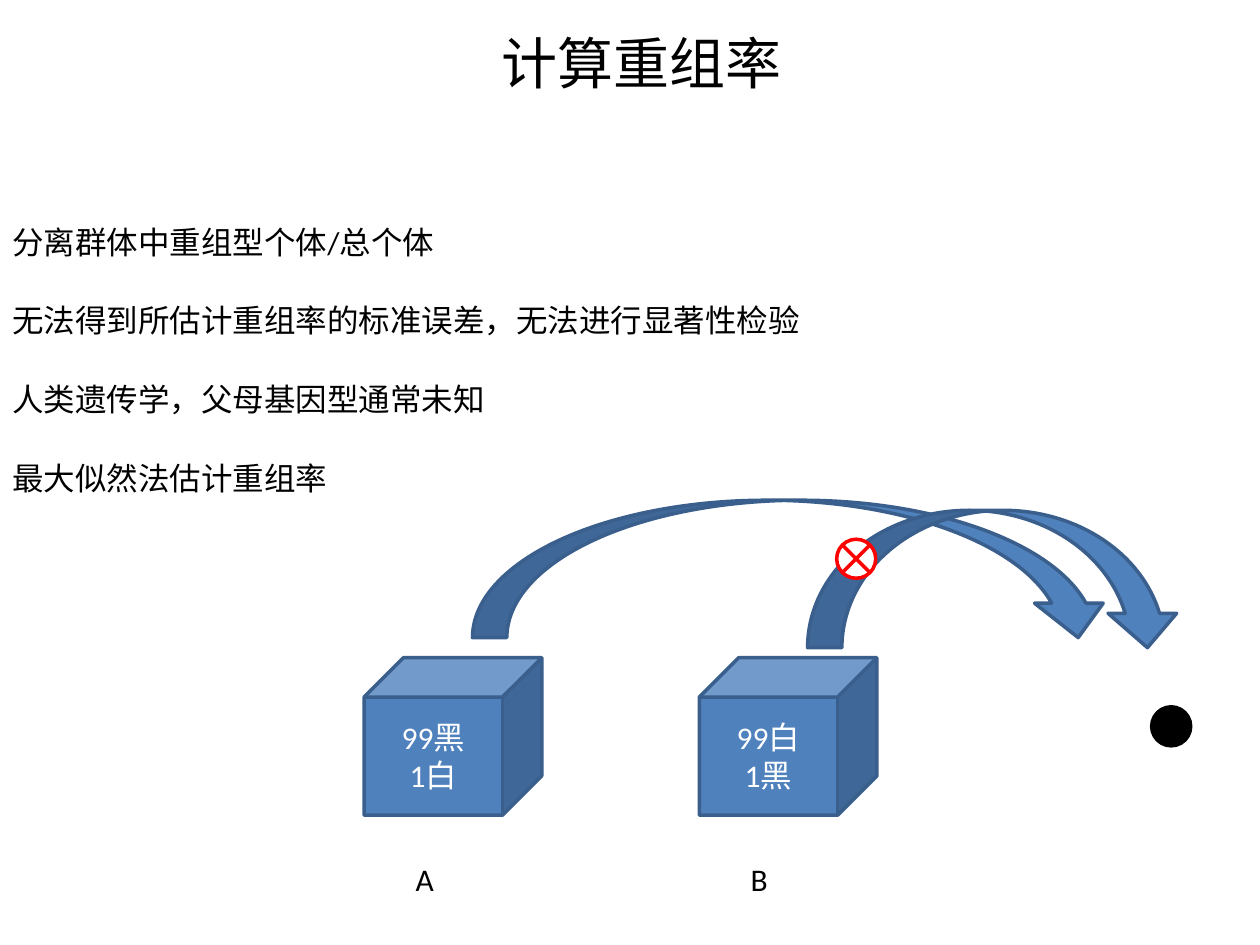
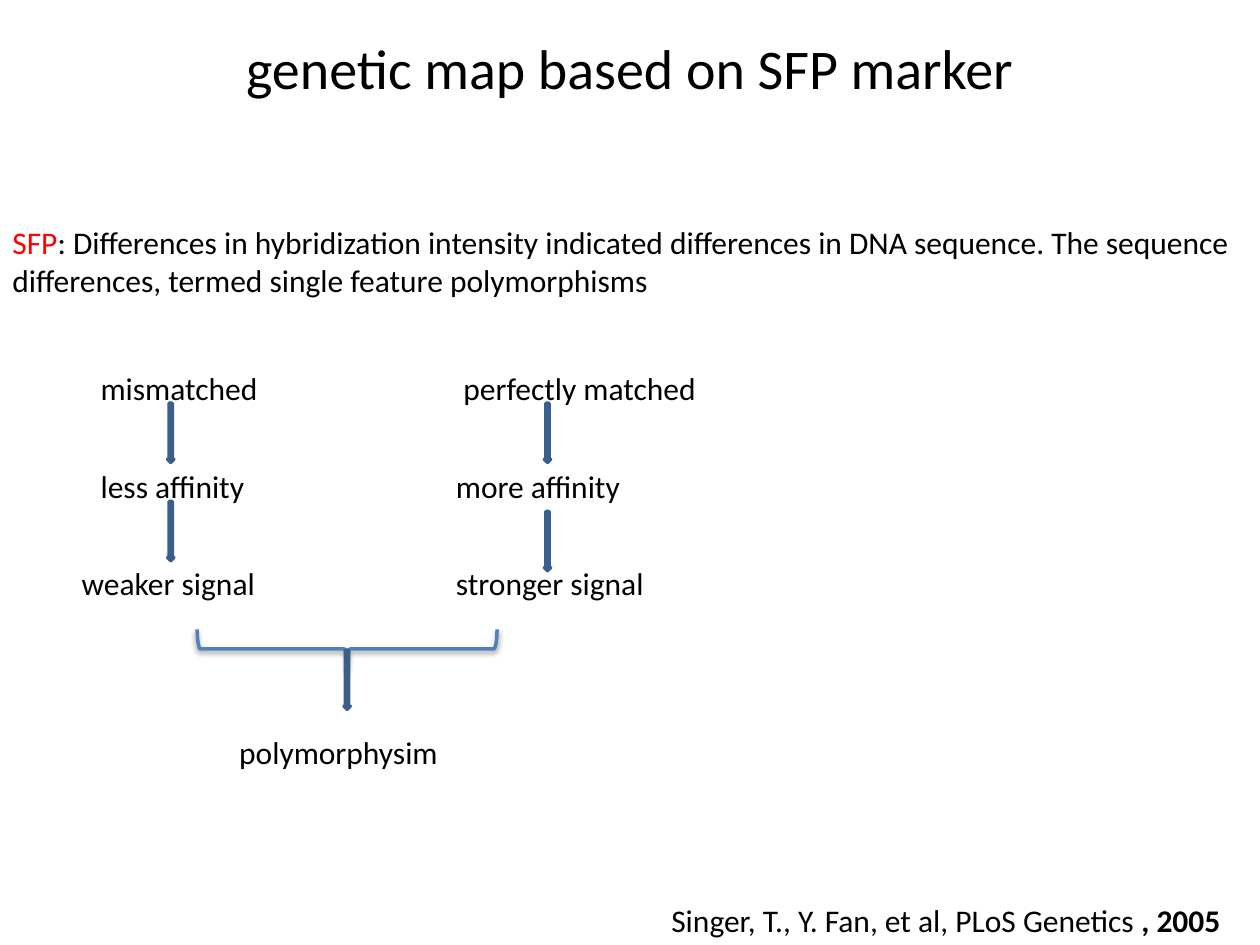
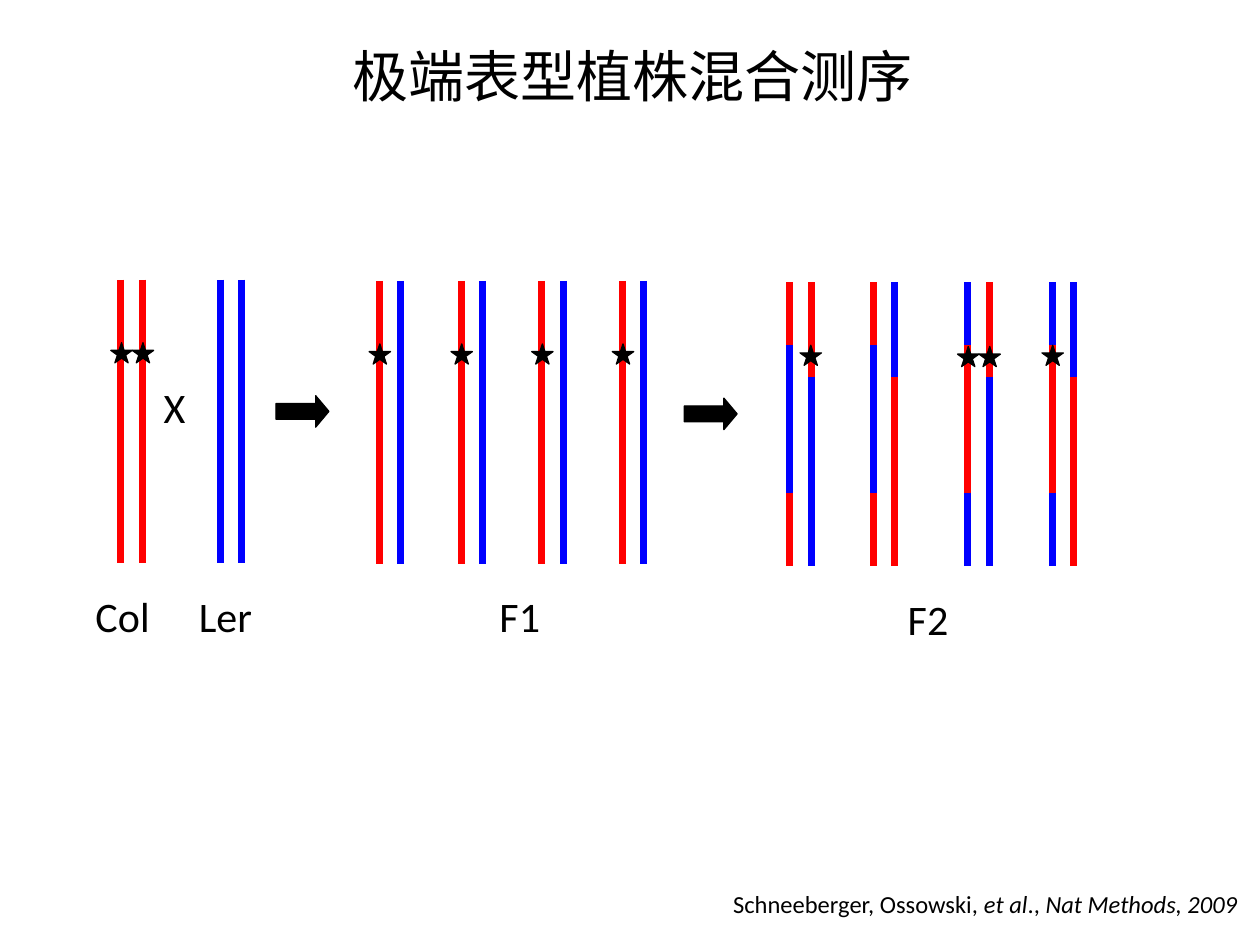
"""Build three slides on recombination rate, SFP markers and bulk sequencing."""
from lxml import etree
from pptx import Presentation
from pptx.dml.color import RGBColor
from pptx.enum.shapes import MSO_CONNECTOR, MSO_SHAPE
from pptx.enum.text import MSO_ANCHOR, MSO_AUTO_SIZE, PP_ALIGN
from pptx.oxml.ns import qn
from pptx.util import Pt

PX = 9144
FONT = "Calibri"
BLACK, WHITE, RED, BLUE = "000000", "FFFFFF", "FF0000", "0000FF"
ACCENT, OUTLINE = "4F81BD", "3A5F8C"
LEFT, CENTER, RIGHT = PP_ALIGN.LEFT, PP_ALIGN.CENTER, PP_ALIGN.RIGHT
TOP, MIDDLE, BOTTOM = MSO_ANCHOR.TOP, MSO_ANCHOR.MIDDLE, MSO_ANCHOR.BOTTOM
FIT = MSO_AUTO_SIZE.SHAPE_TO_FIT_TEXT
STRAIGHT = MSO_CONNECTOR.STRAIGHT
CUBE, CURVED, OVAL = MSO_SHAPE.CUBE, MSO_SHAPE.CURVED_DOWN_ARROW, MSO_SHAPE.OVAL
JUNCTION, DOWN = MSO_SHAPE.FLOWCHART_SUMMING_JUNCTION, MSO_SHAPE.DOWN_ARROW
BRACE, STAR, ARROW = MSO_SHAPE.RIGHT_BRACE, MSO_SHAPE.STAR_5_POINT, MSO_SHAPE.RIGHT_ARROW
rgb = RGBColor.from_string


def write(s, *paragraphs, at=None, sp=None, size=18, color=BLACK, align=LEFT,
          anchor=TOP, wrap=True):
    """Write paragraphs, each a string or a list of (text, format) runs."""
    if sp is None:
        sp = s.shapes.add_textbox(*[v * PX for v in at])
        sp.text_frame.auto_size = FIT
    tf = sp.text_frame
    tf.word_wrap, tf.vertical_anchor = wrap, anchor
    for i, runs in enumerate(paragraphs):
        p = tf.add_paragraph() if i else tf.paragraphs[0]
        p.alignment = align
        for text, fmt in [(runs, {})] if isinstance(runs, str) else runs:
            r = p.add_run()
            r.text = text
            r.font.name, r.font.size = FONT, Pt(size)
            r.font.bold, r.font.italic = fmt.get("bold"), fmt.get("italic")
            r.font.color.rgb = rgb(fmt.get("color", color))


def draw(s, kind, *at, fill=ACCENT, line=OUTLINE, width=2):
    """Add a preset shape with a flat fill and outline."""
    sp = s.shapes.add_shape(kind, *[v * PX for v in at])
    if fill:
        sp.fill.solid()
        sp.fill.fore_color.rgb = rgb(fill)
    else:
        sp.fill.background()
    sp.line.color.rgb, sp.line.width = rgb(line), Pt(width)
    sp.shadow.inherit = False
    return sp


prs = Presentation()
prs.slide_width, prs.slide_height = 1000 * PX, 750 * PX

slides = []
for title, at in [("计算重组率", (59, 6, 900, 86)),
                  ("genetic map based on SFP marker", (50, 13, 900, 81)),
                  ("极端表型植株混合测序", (52, 14, 900, 91))]:
    s = prs.slides.add_slide(prs.slide_layouts[5])
    sp = s.shapes.title
    sp.left, sp.top, sp.width, sp.height = [v * PX for v in at]
    write(s, title, sp=sp, size=32, align=CENTER, anchor=MIDDLE)
    slides.append(s)
recombination, marker, sequencing = slides

s = recombination
for y, width, text in [(172, 359, "分离群体中重组型个体/总个体"),
                       (234, 727, "无法得到所估计重组率的标准误差，无法进行显著性检验"),
                       (297, 414, "人类遗传学，父母基因型通常未知"),
                       (359, 281, "最大似然法估计重组率")]:
    write(s, text, at=(0, y, width, 40))
for x, name, balls in [(289, "A", ("99黑", "1白")), (555, "B", ("99白", "1黑"))]:
    sp = draw(s, CUBE, x, 522, 141, 125)
    write(s, *balls, sp=sp, color=WHITE, align=CENTER, anchor=MIDDLE)
    write(s, name, at=(x + 31, 678, 39, 40))
draw(s, CURVED, 375, 397, 508, 109)
draw(s, CURVED, 641, 405, 297, 109)
draw(s, OVAL, 914, 561, 31, 31, fill=BLACK, line=BLACK)
draw(s, JUNCTION, 664, 428, 31, 31, fill=WHITE, line=RED)

s = marker
write(s, [("SFP", {"color": RED}),
          (": Differences in hybridization intensity indicated differences in DNA "
           "sequence. The sequence differences, termed single feature polymorphisms", {})],
      at=(0, 172, 1000, 71))
for x, y, width, text in [(70, 288, 156, "mismatched"),
                          (70, 366, 141, "less affinity"),
                          (55, 443, 164, "weaker signal"),
                          (358, 288, 221, "perfectly matched"),
                          (352, 366, 156, "more affinity"),
                          (352, 443, 172, "stronger signal"),
                          (180, 577, 188, "polymorphysim")]:
    write(s, text, at=(x, y, width, 40))
sp = draw(s, BRACE, 260, 396, 31, 238, fill=None, line=ACCENT)
sp.rotation = 90
shadow = etree.SubElement(sp._element.spPr.find(qn("a:effectLst")), qn("a:outerShdw"),
                          blurRad="40000", dist="20000", dir="5400000", rotWithShape="0")
shade = etree.SubElement(shadow, qn("a:srgbClr"), val=BLACK)
etree.SubElement(shade, qn("a:alpha"), val="38000")
for x, y in [(133, 320), (133, 398), (432, 320), (432, 406), (273, 516)]:
    draw(s, DOWN, x, y, 5, 47)
write(s, [("Singer, T., Y. Fan, et al, PLoS Genetics ", {}), (", 2005", {"bold": True})],
      at=(523, 710, 477, 40))

s = sequencing
GAP = 17
parent_cuts, f1_cuts = (222, 447), (223, 448)
left_cuts, right_cuts = (224, 274, 391, 449), (224, 299, 449)
strands = [(x + i * GAP, parent_cuts, [color])
           for x, color in [(96, RED), (175, BLUE)] for i in range(2)]
f1_xs = [301, 366, 430, 494]
for x in f1_xs:
    strands += [(x, f1_cuts, [RED]), (x + GAP, f1_cuts, [BLUE])]
for x, outer, inner, upper, lower in [(627, RED, BLUE, RED, BLUE),
                                      (693, RED, BLUE, BLUE, RED),
                                      (768, BLUE, RED, RED, BLUE),
                                      (835, BLUE, RED, BLUE, RED)]:
    strands += [(x, left_cuts, [outer, inner, outer]),
                (x + GAP, right_cuts, [upper, lower])]
for x, cuts, colors in strands:
    for start, end, color in zip(cuts, cuts[1:], colors):
        c = s.shapes.add_connector(STRAIGHT, x * PX, start * PX, x * PX, end * PX)
        c.line.color.rgb, c.line.width = rgb(color), Pt(4)
        etree.SubElement(c._element.spPr, qn("a:effectLst"))

star_rows = [(272, [96, 113]), (273, f1_xs), (274, [643, 835]), (275, [768, 785])]
for y, xs in star_rows:
    for x in xs:
        draw(s, STAR, x - 8, y, 17, 16, fill=BLACK, line=BLACK, width=0.75)
for x, y in [(219, 314), (543, 316)]:
    sp = draw(s, ARROW, x, y, 42, 25, fill=BLACK, line=BLACK, width=0.75)
    sp.adjustments[0], sp.adjustments[1] = 0.5, 0.42
for x, y, width, text, align in [(120, 298, 42, "X", LEFT),
                                 (66, 464, 70, "Col", LEFT),
                                 (148, 464, 68, "Ler", LEFT),
                                 (383, 464, 59, "F1", CENTER),
                                 (707, 466, 59, "F2", CENTER)]:
    write(s, text, at=(x, y, width, 50), size=24, align=align, wrap=False)
write(s, [("Schneeberger, Ossowski, ", {}), ("et al", {"italic": True}), ("., ", {}),
          ("Nat Methods, 2009", {"italic": True})],
      at=(482, 701, 510, 33), size=14, align=RIGHT, anchor=BOTTOM)

prs.save("out.pptx")
